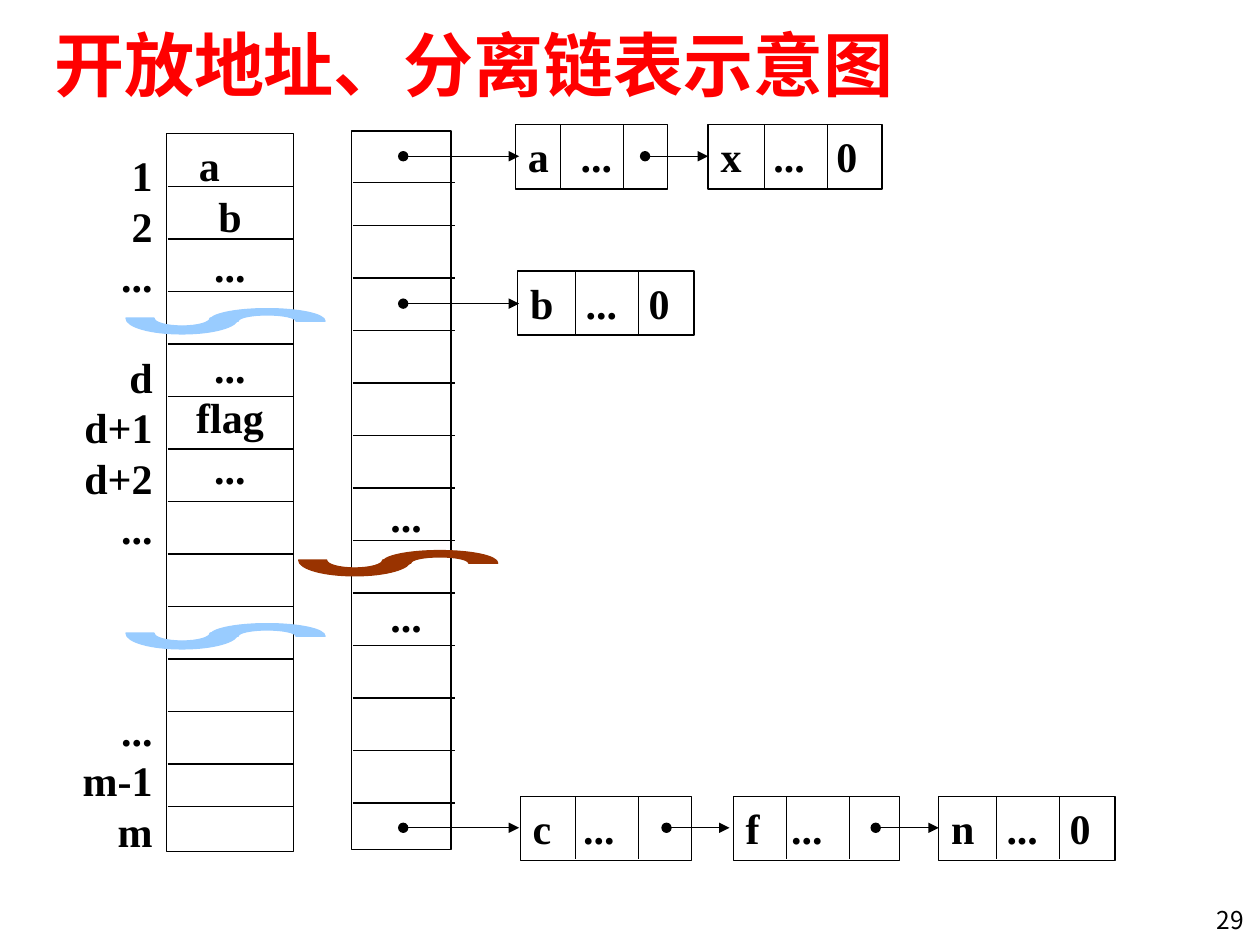
from dataclasses import dataclass

from lxml import etree
from pptx import Presentation
from pptx.dml.color import RGBColor
from pptx.enum.shapes import MSO_CONNECTOR, MSO_SHAPE
from pptx.enum.text import MSO_ANCHOR, PP_ALIGN
from pptx.oxml.ns import qn
from pptx.util import Inches, Pt

LEFT, MID, RIGHT = PP_ALIGN.LEFT, PP_ALIGN.CENTER, PP_ALIGN.RIGHT
TOP, CENTER = MSO_ANCHOR.TOP, MSO_ANCHOR.MIDDLE
RECT, STRAIGHT = MSO_SHAPE.RECTANGLE, MSO_CONNECTOR.STRAIGHT


@dataclass
class Theme:
    ink = RGBColor(0, 0, 0)
    red = RGBColor(0xFF, 0, 0)
    blue = RGBColor(0x99, 0xCC, 0xFF)
    brown = RGBColor(0x99, 0x33, 0)
    serif = "Times New Roman"
    sans = "Noto Sans CJK SC"
    head = Pt(40)
    body = Pt(24)
    foot = Pt(14)
    pitch = 28.8
    rule = Pt(0.75)


theme = Theme()
deck = Presentation()
deck.slide_width, deck.slide_height = Inches(10), Inches(7.5)
slide = deck.slides.add_slide(deck.slide_layouts[5])
shapes = slide.shapes


def box(x, y, w, h, rows, align, edge=True):
    place = [Inches(v) for v in (x, y, w, h)]
    if edge:
        shape = shapes.add_shape(RECT, *place)
        shape.shadow.inherit = False
        shape.fill.background()
        shape.line.color.rgb = theme.ink
        shape.line.width = theme.rule
    else:
        shape = shapes.add_textbox(*place)
    frame = shape.text_frame
    frame.word_wrap = True
    frame.vertical_anchor = TOP
    frame.margin_top = Inches(0.05) + Pt(theme.pitch * rows[0][0])
    frame.margin_bottom = 0
    for i, (gap, words, indent) in enumerate(rows):
        para = frame.add_paragraph() if i else frame.paragraphs[0]
        para.text = words
        para.alignment = LEFT if indent else align
        para.line_spacing = Pt(theme.pitch)
        if i and gap:
            para.space_before = Pt(theme.pitch * gap)
        para.font.name = theme.serif
        para.font.size = theme.body
        para.font.bold = True
        para.font.color.rgb = theme.ink
        if indent:
            para._p.get_or_add_pPr().set("marL", str(Inches(indent)))
    return frame


def line(x1, y1, x2, y2, arrow=False):
    link = shapes.add_connector(STRAIGHT, *[Inches(v) for v in (x1, y1, x2, y2)])
    link.line.color.rgb = theme.ink
    link.line.width = theme.rule
    if arrow:
        stroke = link.line._get_or_add_ln()
        etree.SubElement(stroke, qn("a:headEnd"), type="oval")
        etree.SubElement(stroke, qn("a:tailEnd"), type="triangle")
    etree.SubElement(link._element.spPr, qn("a:effectLst"))


title = shapes.title
title.left, title.top = Inches(0.33), Inches(0.17)
title.width, title.height = Inches(9.42), Inches(0.67)
title.text_frame.text = "开放地址、分离链表示意图"
title.text_frame.vertical_anchor = CENTER
page = shapes.add_textbox(Inches(9.14), Inches(7.13), Inches(0.83), Inches(0.36))
page.text_frame.word_wrap = True
page.text_frame.text = "29"
for shape, align, size, color, bold in (
    (title, LEFT, theme.head, theme.red, True),
    (page, RIGHT, theme.foot, theme.ink, False),
):
    para = shape.text_frame.paragraphs[0]
    para.alignment = align
    para.font.name = theme.sans
    para.font.size = size
    para.font.bold = bold
    para.font.color.rgb = color
    props = para._p.pPr.find(qn("a:defRPr"))
    etree.SubElement(props, qn("a:ea"), typeface=theme.sans)

slots = [(0, "a", 0.16), (0, "b", 0), (0, "...", 0), (1, "...", 0),
         (0, "flag", 0), (0, "...", 0)]
marks = [(0, "1", 0), (0, "2", 0), (0, "...", 0), (1, "d", 0), (0, "d+1", 0),
         (0, "d+2", 0), (0, "...", 0), (3, "...", 0), (0, "m-1", 0), (0, "m", 0)]
heads = [(7, "...", 0.21), (1, "...", 0.21)]
box(1.32, 1.06, 1.01, 5.7, slots, MID)
box(0.45, 1.14, 0.86, 5.69, marks, RIGHT, edge=False)
box(2.79, 1.04, 0.79, 5.7, heads, MID)

step = 5 / 12
for x1, x2, first, extra in ((1.33, 2.33, 1.48, 6.4), (2.8, 3.61, 1.79, 1.45)):
    for y in [first + step * i for i in range(12)] + [extra]:
        line(x1, y, x2, y)

nodes = [
    (4.09, 0.99, 1.21, 4.45, 0.42, "a\t..."),
    (5.62, 0.99, 1.38, 6.07, 0.42, "x\t...\t0"),
    (4.11, 2.15, 1.4, 4.57, 0.44, "b\t...\t0"),
    (4.13, 6.32, 1.36, 4.57, 0.4, "c\t..."),
    (5.82, 6.32, 1.32, 6.24, 0.36, "f\t..."),
    (7.45, 6.32, 1.4, 7.91, 0.44, "n\t...\t0"),
]
for x, y, w, split, stop, words in nodes:
    frame = box(x, y, w, 0.51, [(0, words, 0)], LEFT)
    props = frame.paragraphs[0]._p.pPr
    tabs = etree.Element(qn("a:tabLst"))
    for spot in (stop, stop + 0.5):
        etree.SubElement(tabs, qn("a:tab"), pos=str(Inches(spot)), algn="l")
    props.find(qn("a:defRPr")).addprevious(tabs)
    for x in (split, split + 0.5):
        line(x, y, x, y + 0.5)

for x1, x2, y in ((3.2, 4.12, 1.24), (5.12, 5.62, 1.24), (3.2, 4.12, 2.41),
                  (3.2, 4.12, 6.57), (5.29, 5.79, 6.57), (6.95, 7.45, 6.57)):
    line(x1, y, x2, y, arrow=True)

curve = [
    ("moveTo", [(0.25, 0.5)]),
    ("cubicBezTo", [(0.25, 0.64), (0.36, 0.75), (0.5, 0.75)]),
    ("cubicBezTo", [(0.64, 0.75), (0.75, 0.64), (0.75, 0.5)]),
    ("lnTo", [(1, 0.5)]),
    ("cubicBezTo", [(1, 0.78), (0.78, 1), (0.5, 1)]),
    ("cubicBezTo", [(0.22, 1), (0, 0.78), (0, 0.5)]),
    ("close", []),
]
halves = [(0, 0, 0.89, 0.25, False), (0.66, 0.05, 0.92, 0.2, True)]
for left, top, color in ((1, 2.4, theme.blue), (1, 4.9, theme.blue),
                         (2.37, 4.32, theme.brown)):
    for dx, dy, w, h, flip in halves:
        x, y = left + dx, top + dy
        frame = shapes.build_freeform(Inches(x), Inches(y))
        frame.add_line_segments([(Inches(x + w), Inches(y)),
                                 (Inches(x + w), Inches(y + h))])
        wave = frame.convert_to_shape()
        wave.shadow.inherit = False
        wave.fill.solid()
        wave.fill.fore_color.rgb = color
        wave.line.color.rgb = color
        wave.line.width = theme.rule
        route = next(wave._element.iter(qn("a:path")))
        for part in list(route):
            route.remove(part)
        for name, points in curve:
            part = etree.SubElement(route, qn("a:" + name))
            for u, v in points:
                v = 1 - v if flip else v
                etree.SubElement(part, qn("a:pt"), x=str(Inches(u * w)),
                                 y=str(Inches(v * h)))

deck.save("out.pptx")
